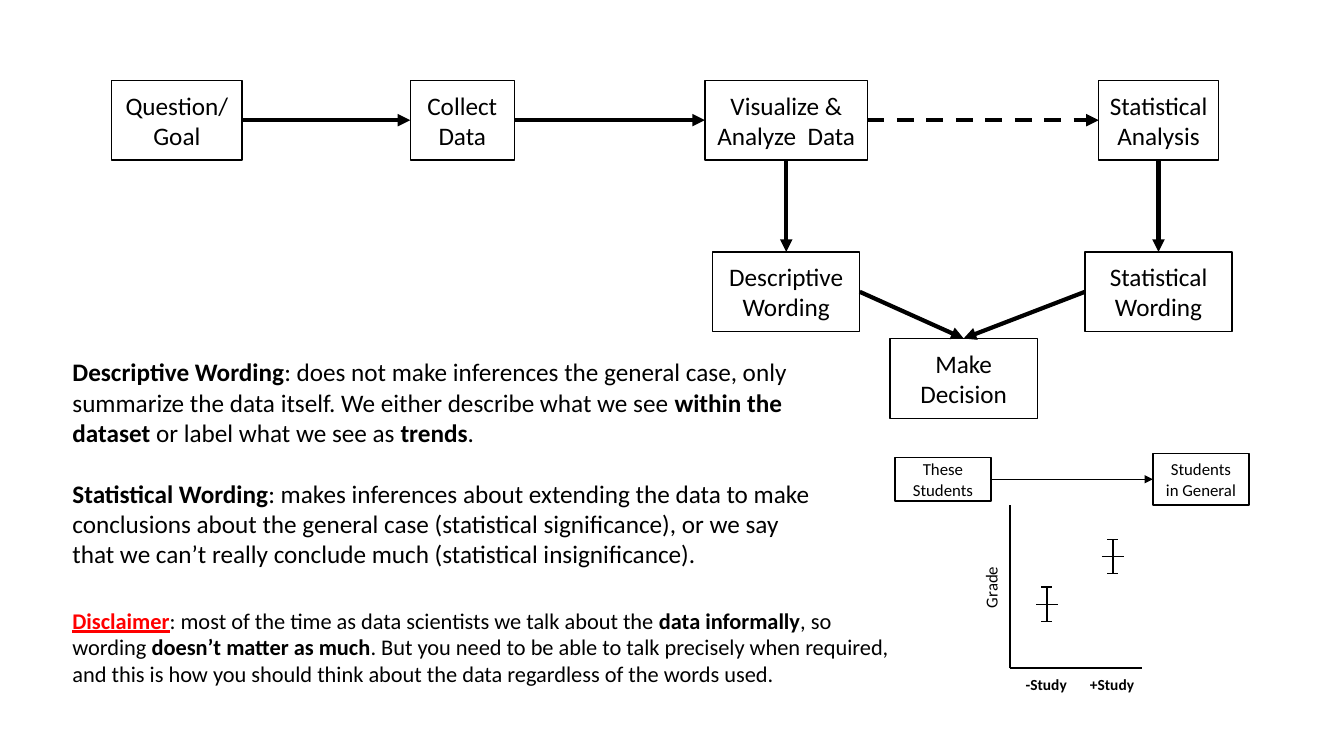
import pptx
import pptx.util
import pptx.dml.color
import pptx.enum.dml
import pptx.enum.shapes
import pptx.enum.text
import pptx.oxml.ns
import lxml.etree

WIDTH, HEIGHT = pptx.util.Inches(13.33), pptx.util.Inches(7.5)
FONT = "Calibri"
COLORS = {"ink": "000000", "paper": "FFFFFF", "alert": "FF0000"}
TOP, LEFT, BOTTOM, RIGHT = range(4)  # connection sites of a rectangle


# Lengths are percentages of the slide's width and height
def across(share):
    return round(WIDTH * share / 100)


def down(share):
    return round(HEIGHT * share / 100)


def rgb(name):
    return pptx.dml.color.RGBColor.from_string(COLORS[name])


def add_run(p, text, size, bold=False, color="ink", underline=False):
    r = p.add_run()
    r.text = text
    r.font.name, r.font.size = FONT, pptx.util.Pt(size)
    r.font.bold, r.font.underline = bold, underline
    r.font.color.rgb = rgb(color)


def add_box(shapes, text, cx, cy, w, h=10.55, size=18):
    """Outlined box with text, placed by its centre."""
    sp = shapes.add_shape(pptx.enum.shapes.MSO_SHAPE.RECTANGLE,
                          across(cx - w / 2), down(cy - h / 2), across(w), down(h))
    sp.shadow.inherit = False
    sp.fill.solid()
    sp.fill.fore_color.rgb = rgb("paper")
    sp.line.color.rgb = rgb("ink")
    sp.line.width = pptx.util.Pt(1)
    tf = sp.text_frame
    tf.word_wrap = True
    tf.vertical_anchor = pptx.enum.text.MSO_ANCHOR.MIDDLE
    p = tf.paragraphs[0]
    p.alignment = pptx.enum.text.PP_ALIGN.CENTER
    add_run(p, text, size)
    return sp


def add_line(shapes, x1, y1, x2, y2, width=1):
    line = shapes.add_connector(pptx.enum.shapes.MSO_CONNECTOR.STRAIGHT,
                                across(x1), down(y1), across(x2), down(y2))
    line.line.color.rgb = rgb("ink")
    line.line.width = pptx.util.Pt(width)
    lxml.etree.SubElement(line._element.spPr, pptx.oxml.ns.qn("a:effectLst"))
    return line


def add_arrow(shapes, start, start_site, end, end_site, width=3, dashed=False):
    """Arrow glued to two boxes."""
    arrow = add_line(shapes, 0, 0, 0, 0, width)
    arrow.begin_connect(start, start_site)
    arrow.end_connect(end, end_site)
    if dashed:
        arrow.line.dash_style = pptx.enum.dml.MSO_LINE.DASH
    ln = arrow.line._get_or_add_ln()
    lxml.etree.SubElement(ln, pptx.oxml.ns.qn("a:tailEnd"), type="triangle")


def add_text(shapes, x, y, w, h, paragraphs, size, gap=0, wrap=True):
    """Text box; each paragraph is a list of (text, formats) runs."""
    tb = shapes.add_textbox(across(x), down(y), across(w), down(h))
    tf = tb.text_frame
    tf.word_wrap = wrap
    for i, runs in enumerate(paragraphs):
        p = tf.add_paragraph() if i else tf.paragraphs[0]
        if i:
            p.space_before = pptx.util.Pt(gap)
        for text, formats in runs:
            add_run(p, text, size, **formats)
    return tb


def add_label(shapes, text, cx, cy, w, h, size, bold=False):
    return add_text(shapes, cx - w / 2, cy - h / 2, w, h,
                    [[(text, {"bold": bold})]], size, wrap=False)


def add_error_bar(shapes, cx, cy, reach=2.27, cap=0.41, mean=0.81):
    add_line(shapes, cx, cy - reach, cx, cy + reach)
    for y, half in ((cy, mean), (cy - reach, cap), (cy + reach, cap)):
        add_line(shapes, cx - half, y, cx + half, y)


def add_process(shapes):
    steps, wording = 15.9, 38.6  # row centres
    descriptive_x, statistical_x = 58.5, 86.2  # column centres
    question = add_box(shapes, "Question/ Goal", 13.16, steps, 9.7)
    collect = add_box(shapes, "Collect Data", 34.4, steps, 7.75)
    visualize = add_box(shapes, "Visualize & Analyze  Data", descriptive_x, steps, 12.1)
    analysis = add_box(shapes, "Statistical Analysis", statistical_x, steps, 8.9)
    descriptive = add_box(shapes, "Descriptive Wording", descriptive_x, wording, 10.95)
    statistical = add_box(shapes, "Statistical Wording", statistical_x, wording, 10.95)
    decision = add_box(shapes, "Make Decision", 71.7, 50.05, 10.95)

    add_arrow(shapes, question, RIGHT, collect, LEFT)
    add_arrow(shapes, collect, RIGHT, visualize, LEFT)
    add_arrow(shapes, visualize, RIGHT, analysis, LEFT, dashed=True)
    add_arrow(shapes, visualize, BOTTOM, descriptive, TOP)
    add_arrow(shapes, analysis, BOTTOM, statistical, TOP)
    add_arrow(shapes, descriptive, RIGHT, decision, TOP)
    add_arrow(shapes, statistical, LEFT, decision, TOP)


def add_explanations(shapes):
    plain, bold = {}, {"bold": True}
    add_text(shapes, 4.65, 46.53, 57.23, 33.6, [
        [("Descriptive Wording", bold),
         (": does not make inferences the general case, only summarize the data "
          "itself. We either describe what we see ", plain),
         ("within the dataset ", bold),
         ("or label what we see as ", plain),
         ("trends", bold),
         (".", plain)],
        [("Statistical Wording", bold),
         (": makes inferences about extending the data to make conclusions about "
          "the general case (statistical significance), or we say that we can’t "
          "really conclude much (statistical insignificance).", plain)],
    ], 18, gap=22)
    add_text(shapes, 4.65, 79.6, 63.1, 12.13, [
        [("Disclaimer", {"bold": True, "color": "alert", "underline": True}),
         (": most of the time as data scientists we talk about the ", plain),
         ("data informally", bold),
         (", so wording ", plain),
         ("doesn’t matter as much", bold),
         (". But you need to be able to talk precisely when required, and this is "
          "how you should think about the data regardless of the words used.", plain)],
    ], 16)


def add_grade_sketch(shapes):
    origin_x, origin_y = 75.15, 88.4
    add_line(shapes, origin_x, origin_y, 84.98, origin_y, 1.5)
    add_line(shapes, origin_x, origin_y, origin_x, 66.8, 1.5)
    add_label(shapes, "Grade", 73.73, 77.6, 4.65, 4, 12).rotation = 270
    for name, x, grade_y, w in (("-Study", 77.9, 79.93, 4.65),
                                ("+Study", 82.8, 73.6, 4.88)):
        add_label(shapes, name, x, 90.6, w, 3.87, 11, bold=True)
        add_error_bar(shapes, x, grade_y)


def add_generalization(shapes):
    these = add_box(shapes, "These Students", 70.16, 63.4, 7.15, 5.75, 12)
    general = add_box(shapes, "Students in General", 89.36, 63.4, 7.15, 6.8, 12)
    add_arrow(shapes, these, RIGHT, general, LEFT, width=1)


def main():
    prs = pptx.Presentation()
    prs.slide_width, prs.slide_height = WIDTH, HEIGHT
    s = prs.slides.add_slide(prs.slide_layouts[6])  # blank: no title shown

    # Flow of the process
    add_process(s.shapes)
    # Definitions and disclaimer
    add_explanations(s.shapes)
    # Example, as two groups
    add_grade_sketch(s.shapes.add_group_shape().shapes)
    add_generalization(s.shapes.add_group_shape().shapes)

    prs.save("out.pptx")


main()
